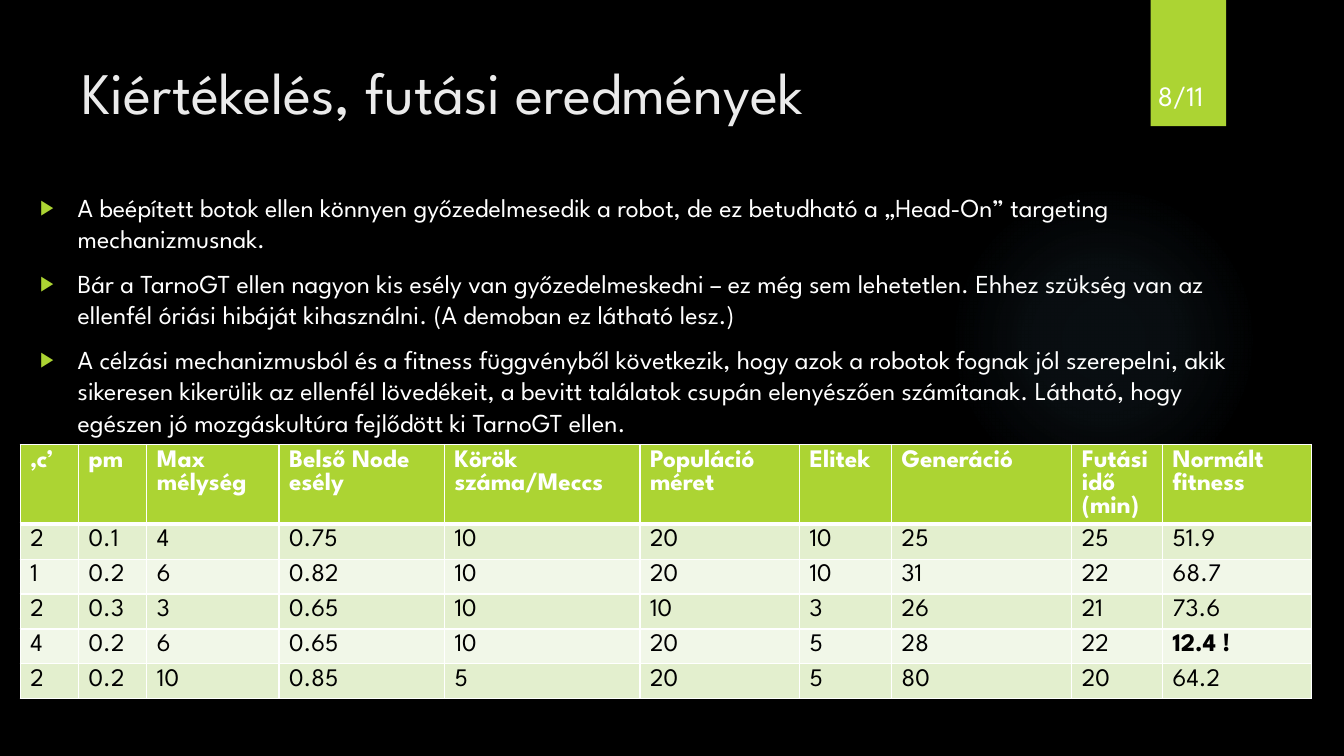
from dataclasses import dataclass

from lxml.etree import SubElement
from pptx import Presentation
from pptx.dml.color import RGBColor
from pptx.enum.shapes import MSO_SHAPE
from pptx.enum.text import MSO_ANCHOR, MSO_AUTO_SIZE, PP_ALIGN
from pptx.oxml import parse_xml
from pptx.oxml.ns import nsdecls, qn
from pptx.util import Cm, Pt


@dataclass(frozen=True)
class Theme:
    """Colours, font and type sizes of the slide."""
    font: str = "League Spartan"
    background: str = "000000"
    accent: str = "ACD433"
    glow: str = "7AC4F0"
    title: str = "EBEBEB"
    light: str = "FFFFFF"
    dark: str = "000000"
    bands: tuple = ("E3EFCE", "F1F7E8")
    title_size: float = 42
    body_size: float = 18.5
    table_size: float = 18
    table_line: float = 16.5
    number_size: float = 20


THEME = Theme()

STATEMENTS = (
    "A beépített botok ellen könnyen győzedelmesedik a robot, de ez betudható a "
    "„Head-On” targeting mechanizmusnak.",
    "Bár a TarnoGT ellen nagyon kis esély van győzedelmeskedni – ez még sem lehetetlen. "
    "Ehhez szükség van az ellenfél óriási hibáját kihasználni. (A demoban ez látható lesz.)",
    "A célzási mechanizmusból és a fitness függvényből következik, hogy azok a robotok "
    "fognak jól szerepelni, akik sikeresen kikerülik az ellenfél lövedékeit, a bevitt "
    "találatok csupán elenyészően számítanak. Látható, hogy egészen jó mozgáskultúra "
    "fejlődött ki TarnoGT ellen.",
)

COLUMNS = (
    ("‚c’", 1.47), ("pm", 1.72), ("Max mélység", 3.33), ("Belső Node esély", 4.17),
    ("Körök száma/Meccs", 4.93), ("Populáció méret", 4.02), ("Elitek", 2.32),
    ("Generáció", 4.54), ("Futási idő\n(min)", 2.29), ("Normált fitness", 3.76),
)

RESULTS = (
    ("2", "0.1", "4", "0.75", "10", "20", "10", "25", "25", "51.9"),
    ("1", "0.2", "6", "0.82", "10", "20", "10", "31", "22", "68.7"),
    ("2", "0.3", "3", "0.65", "10", "10", "3", "26", "21", "73.6"),
    ("4", "0.2", "6", "0.65", "10", "20", "5", "28", "22", "12.4 !"),
    ("2", "0.2", "10", "0.85", "5", "20", "5", "80", "20", "64.2"),
)
HIGHLIGHT = "12.4 !"
HEADER_HEIGHT, ROW_HEIGHT = 2.01, 0.88


def add_text(paragraph, text, size, color, bold=False):
    """Add styled runs to a paragraph, with a line break at each newline."""
    for index, line in enumerate(text.split("\n")):
        if index:
            paragraph.add_line_break()
        run = paragraph.add_run()
        run.text = line
        run.font.name = THEME.font
        run.font.size = Pt(size)
        run.font.bold = bold
        run.font.color.rgb = RGBColor.from_string(color)


def add_plain_shape(slide, preset, box):
    """Add a preset shape without line or shadow."""
    shape = slide.shapes.add_shape(preset, *map(Cm, box))
    shape.shadow.inherit = False
    shape.line.fill.background()
    return shape


def add_glow(slide, box):
    """Add the faint round glow that fades towards its edge."""
    glow = add_plain_shape(slide, MSO_SHAPE.OVAL, box)
    glow.fill.background()
    stops = "".join(
        f'<a:gs pos="{position * 1000}"><a:srgbClr val="{THEME.glow}">'
        f'<a:alpha val="{opacity * 1000}"/></a:srgbClr></a:gs>'
        for position, opacity in ((0, 7), (36, 6), (69, 0), (100, 0))
    )
    gradient = parse_xml(
        f'<a:gradFill {nsdecls("a")}><a:gsLst>{stops}</a:gsLst><a:path path="circle">'
        '<a:fillToRect l="50000" t="50000" r="50000" b="50000"/></a:path></a:gradFill>'
    )
    properties = glow.element.spPr
    properties.replace(properties.find(qn("a:noFill")), gradient)


def add_page_ribbon(slide, box):
    """Add the green ribbon with the page number at its foot."""
    left, top, width, height = box
    ribbon = add_plain_shape(slide, MSO_SHAPE.RECTANGLE, box)
    ribbon.fill.solid()
    ribbon.fill.fore_color.rgb = RGBColor.from_string(THEME.accent)
    number = slide.shapes.add_textbox(
        Cm(left - 0.07), Cm(top + 0.69), Cm(width + 1.22), Cm(height - 0.92))
    frame = number.text_frame
    frame.word_wrap = True
    frame.vertical_anchor = MSO_ANCHOR.BOTTOM
    add_text(frame.paragraphs[0], "8/11", THEME.number_size, THEME.light)


def place_title(slide, box):
    """Move the title placeholder into its box and format it."""
    title = slide.shapes.title
    title.left, title.top, title.width, title.height = map(Cm, box)
    frame = title.text_frame
    frame.word_wrap = True
    frame.auto_size = MSO_AUTO_SIZE.NONE
    frame.vertical_anchor = MSO_ANCHOR.TOP
    paragraph = frame.paragraphs[0]
    paragraph.alignment = PP_ALIGN.LEFT
    add_text(paragraph, "Kiértékelés, futási eredmények", THEME.title_size, THEME.title)


def add_bullet(paragraph):
    """Give a paragraph a hanging green triangle."""
    properties = paragraph._p.get_or_add_pPr()
    properties.set("marL", str(Cm(0.95)))
    properties.set("indent", str(-Cm(0.95)))
    color = SubElement(properties, qn("a:buClr"))
    SubElement(color, qn("a:srgbClr"), val=THEME.accent)
    SubElement(properties, qn("a:buSzPct"), val="80000")
    SubElement(properties, qn("a:buFont"), typeface="Arial")
    SubElement(properties, qn("a:buChar"), char="▶")


def add_statements(slide, box):
    """Add the bulleted statements."""
    frame = slide.shapes.add_textbox(*map(Cm, box)).text_frame
    frame.word_wrap = True
    for index, statement in enumerate(STATEMENTS):
        paragraph = frame.add_paragraph() if index else frame.paragraphs[0]
        paragraph.space_before = Pt(10)
        add_bullet(paragraph)
        add_text(paragraph, statement, THEME.body_size, THEME.light)


def set_borders(cell, top, bottom):
    """Draw white borders around a cell, with widths in points."""
    properties = cell._tc.get_or_add_tcPr()
    widths = (("lnL", 1), ("lnR", 1), ("lnT", top), ("lnB", bottom))
    for index, (side, width) in enumerate(widths):
        properties.insert(index, parse_xml(
            f'<a:{side} {nsdecls("a")} w="{Pt(width)}"><a:solidFill>'
            f'<a:srgbClr val="{THEME.light}"/></a:solidFill></a:{side}>'
        ))


def add_results_table(slide, left, top):
    """Add the table of run results at the given corner."""
    rows = (tuple(heading for heading, _ in COLUMNS), *RESULTS)
    width = sum(column_width for _, column_width in COLUMNS)
    height = HEADER_HEIGHT + ROW_HEIGHT * len(RESULTS)
    table = slide.shapes.add_table(
        len(rows), len(COLUMNS), Cm(left), Cm(top), Cm(width), Cm(height)).table
    for column, (_, column_width) in zip(table.columns, COLUMNS):
        column.width = Cm(column_width)
    for row_index, values in enumerate(rows):
        header = row_index == 0
        table.rows[row_index].height = Cm(HEADER_HEIGHT if header else ROW_HEIGHT)
        fill = THEME.accent if header else THEME.bands[(row_index - 1) % 2]
        color = THEME.light if header else THEME.dark
        for column_index, value in enumerate(values):
            cell = table.cell(row_index, column_index)
            cell.fill.solid()
            cell.fill.fore_color.rgb = RGBColor.from_string(fill)
            set_borders(cell, 3 if row_index == 1 else 1, 3 if header else 1)
            paragraph = cell.text_frame.paragraphs[0]
            paragraph.line_spacing = Pt(THEME.table_line)
            add_text(paragraph, value, THEME.table_size, color,
                     header or value == HIGHLIGHT)


def build_results_slide(presentation):
    """Add the slide with the evaluation and the run results."""
    slide = presentation.slides.add_slide(presentation.slide_layouts[5])
    slide.background.fill.solid()
    slide.background.fill.fore_color.rgb = RGBColor.from_string(THEME.background)
    add_glow(slide, (23.9, 4.65, 7.82, 7.82))
    add_page_ribbon(slide, (29, 0, 1.9, 3.18))
    place_title(slide, (1.8, 1.27, 26.14, 3.89))
    add_statements(slide, (0.76, 4.7, 31.32, 6.2))
    add_results_table(slide, 0.51, 11.2)


def main():
    """Build and save the presentation."""
    presentation = Presentation()
    presentation.slide_width, presentation.slide_height = Cm(33.87), Cm(19.05)
    build_results_slide(presentation)
    presentation.save("out.pptx")


if __name__ == "__main__":
    main()
